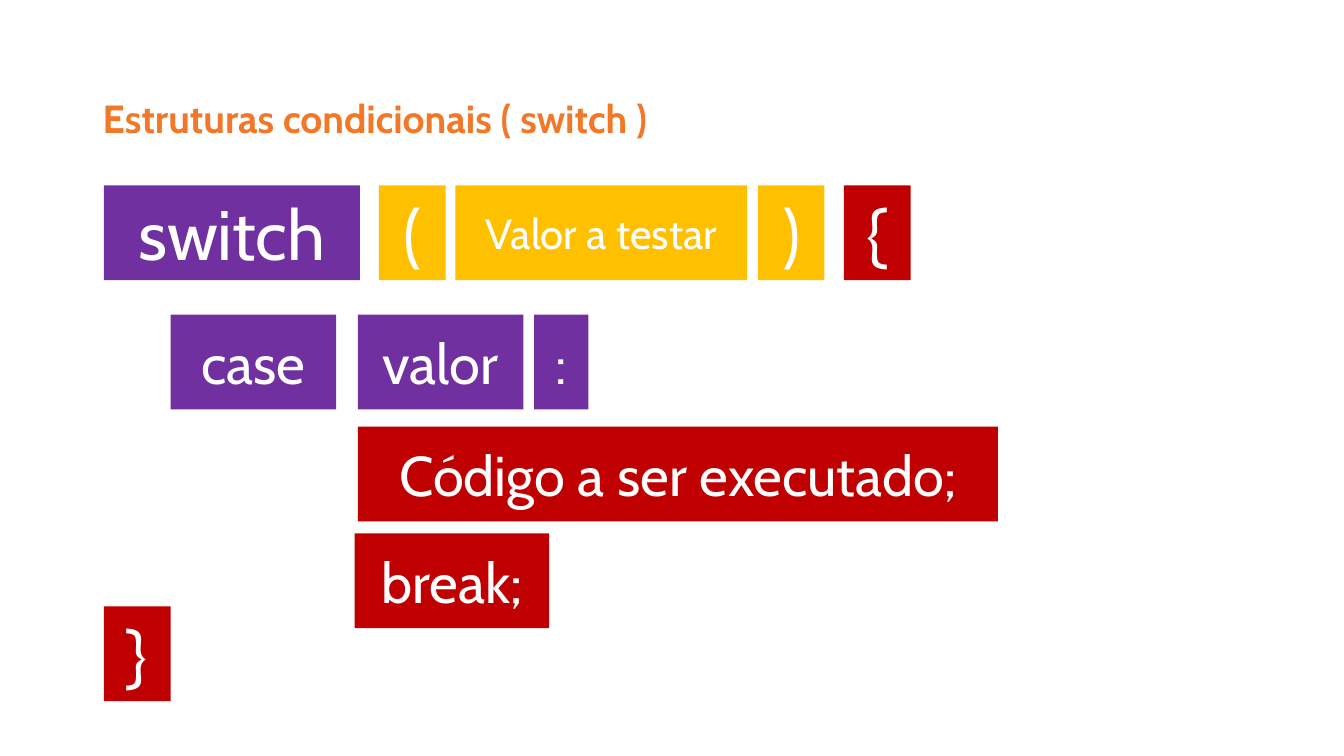
from pptx import Presentation
from pptx.dml.color import RGBColor
from pptx.enum.shapes import MSO_SHAPE
from pptx.enum.text import MSO_ANCHOR, MSO_AUTO_SIZE, PP_ALIGN
from pptx.util import Cm, Pt

RECT = MSO_SHAPE.RECTANGLE
MIDDLE = MSO_ANCHOR.MIDDLE
GROW = MSO_AUTO_SIZE.SHAPE_TO_FIT_TEXT
LEFT, CENTER = PP_ALIGN.LEFT, PP_ALIGN.CENTER

COLORS = {
    "orange": "F27727",
    "purple": "7030A0",
    "yellow": "FFC000",
    "red": "C00000",
    "white": "FFFFFF",
}
FONT = "Cabin"


def color(name):
    return RGBColor.from_string(COLORS[name])


def write(frame, text, size=40, tint="white", bold=False, align=CENTER):
    line = frame.paragraphs[0]
    line.alignment = align
    run = line.add_run()
    run.text = text
    run.font.name = FONT
    run.font.size = Pt(size)
    run.font.bold = bold
    run.font.color.rgb = color(tint)


class Board:
    """Slide with the shared style; all lengths in centimetres."""

    height = 2.39

    def __init__(self, slide):
        self.shapes = slide.shapes

    def title(self, text, left, top, width, height):
        box = self.shapes.add_textbox(Cm(left), Cm(top), Cm(width), Cm(height))
        frame = box.text_frame
        frame.word_wrap = False
        frame.auto_size = GROW
        write(frame, text, size=28, tint="orange", bold=True, align=LEFT)

    def block(self, text, left, top, width, fill, size):
        box = self.shapes.add_shape(
            RECT, Cm(left), Cm(top), Cm(width), Cm(self.height))
        box.shadow.inherit = False
        box.fill.solid()
        box.fill.fore_color.rgb = color(fill)
        box.line.fill.background()
        frame = box.text_frame
        frame.word_wrap = True
        frame.vertical_anchor = MIDDLE
        write(frame, text, size=size)

    def row(self, top, blocks):
        for text, left, width, fill, size in blocks:
            self.block(text, left, top, width, fill, size)


def main():
    deck = Presentation()
    deck.slide_width, deck.slide_height = Cm(33.87), Cm(19.05)
    board = Board(deck.slides.add_slide(deck.slide_layouts[6]))

    # Heading
    board.title("Estruturas condicionais ( switch )", 2.34, 2.24, 16.13, 1.45)

    # Code rows: top, then text, left, width, fill, size of each block
    margin, indent, body, sign = 2.62, 4.3, 9.02, 1.68
    rows = {
        4.67: [
            ("switch", margin, 6.45, "purple", 50),
            ("(", 9.55, sign, "yellow", 50),
            ("Valor a testar", 11.48, 7.35, "yellow", 30),
            (")", 19.1, sign, "yellow", 50),
            ("{", 21.27, sign, "red", 50),
        ],
        7.93: [
            ("case", indent, 4.17, "purple", 40),
            ("valor", body, 4.17, "purple", 40),
            (":", 13.46, 1.37, "purple", 40),
        ],
        10.75: [("Código a ser executado;", body, 16.13, "red", 40)],
        13.44: [("break;", 8.94, 4.9, "red", 40)],
        15.28: [("}", margin, sign, "red", 50)],
    }
    for top, blocks in rows.items():
        board.row(top, blocks)

    deck.save("out.pptx")


if __name__ == "__main__":
    main()
